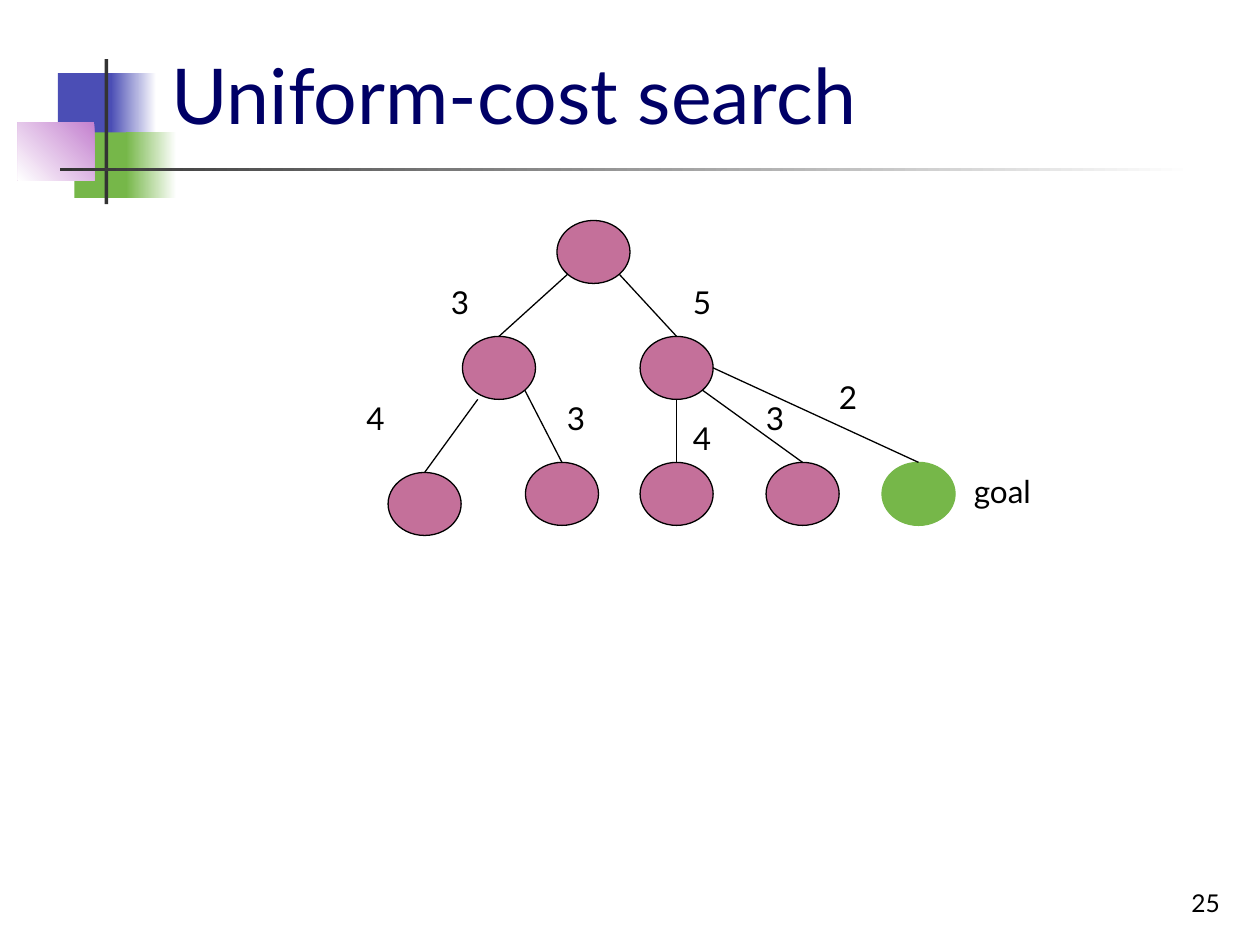
from dataclasses import dataclass
from math import sqrt

from lxml.etree import SubElement
from pptx import Presentation
from pptx.dml.color import RGBColor
from pptx.enum.shapes import MSO_CONNECTOR, MSO_SHAPE
from pptx.enum.text import MSO_ANCHOR, MSO_AUTO_SIZE, PP_ALIGN
from pptx.oxml.ns import qn
from pptx.util import Inches, Pt


@dataclass(frozen=True)
class Theme:
    font: str = "Lato"
    title: str = "000066"
    ink: str = "000000"
    paper: str = "FFFFFF"
    node: str = "C4709A"
    green: str = "76B749"
    blue: str = "4B4EB5"
    pink: str = "C481CF"
    rule: str = "333333"
    title_size: float = 44
    label_size: float = 18
    number_size: float = 14
    line_width: float = 0.75


THEME = Theme()
NODE_W, NODE_H = 0.58, 0.5

# Left and top of each node of the search tree
NODES = {
    "root": (4.42, 1.75),
    "left": (3.67, 2.67),
    "right": (5.08, 2.67),
    "left-a": (3.08, 3.75),
    "left-b": (4.17, 3.67),
    "right-a": (5.08, 3.67),
    "right-b": (6.08, 3.67),
    "goal": (7, 3.67),
}

# Where an edge leaves its parent, in half widths and half heights from the centre
DIAGONAL = 1 / sqrt(2)
LOWER_LEFT, LOWER_RIGHT = (-DIAGONAL, DIAGONAL), (DIAGONAL, DIAGONAL)
BELOW_LEFT, BOTTOM, RIGHT = (-0.58, 1), (0, 1), (1, 0)

# Parent, child, exit from the parent, cost, left and top of the cost
EDGES = [
    ("root", "left", LOWER_LEFT, "3", (3.48, 2.2)),
    ("root", "right", LOWER_RIGHT, "5", (5.4, 2.2)),
    ("left", "left-a", BELOW_LEFT, "4", (2.81, 3.12)),
    ("left", "left-b", LOWER_RIGHT, "3", (4.4, 3.12)),
    ("right", "right-a", BOTTOM, "4", (5.4, 3.28)),
    ("right", "right-b", LOWER_RIGHT, "3", (5.98, 3.12)),
    ("right", "goal", RIGHT, "2", (6.56, 2.95)),
]

# Left, top, width, height, colours from first to last, gradient angle
DECORATION = [
    (0.46, 0.58, 0.48, 0.52, [THEME.blue], 0),
    (0.88, 0.58, 0.36, 0.52, [THEME.paper, THEME.blue], 180),
    (0.59, 1.05, 0.46, 0.52, [THEME.green], 0),
    (1, 1.05, 0.4, 0.52, [THEME.paper, THEME.green], 180),
    (0.14, 0.97, 0.61, 0.46, [THEME.pink, THEME.paper], 225),
    (0.83, 0.47, 0.03, 1.15, [THEME.rule], 0),
    (0.48, 1.33, 9, 0.03, [THEME.paper, THEME.rule], 180),
]


def rgb(value):
    return RGBColor.from_string(value)


def add_shape(slide, kind, left, top, width, height):
    shape = slide.shapes.add_shape(
        kind, Inches(left), Inches(top), Inches(width), Inches(height))
    shape.shadow.inherit = False
    return shape


def add_band(slide, left, top, width, height, colours, angle):
    """Add a borderless rectangle with a plain or two-colour fill."""
    band = add_shape(slide, MSO_SHAPE.RECTANGLE, left, top, width, height)
    band.line.fill.background()
    if len(colours) == 1:
        band.fill.solid()
        band.fill.fore_color.rgb = rgb(colours[0])
        return
    band.fill.gradient()
    band.fill.gradient_angle = angle
    for stop, colour in zip(band.fill.gradient_stops, colours):
        stop.color.rgb = rgb(colour)


def add_text(slide, text, left, top, width, height, *, size=THEME.label_size,
             colour=THEME.ink, align=PP_ALIGN.LEFT, anchor=MSO_ANCHOR.TOP, wrap=True):
    box = slide.shapes.add_textbox(
        Inches(left), Inches(top), Inches(width), Inches(height))
    frame = box.text_frame
    frame.word_wrap = wrap
    frame.auto_size = MSO_AUTO_SIZE.NONE if wrap else MSO_AUTO_SIZE.SHAPE_TO_FIT_TEXT
    frame.vertical_anchor = anchor
    paragraph = frame.paragraphs[0]
    paragraph.alignment = align
    run = paragraph.add_run()
    run.text = text
    run.font.name = THEME.font
    run.font.size = Pt(size)
    run.font.color.rgb = rgb(colour)


def add_node(slide, left, top, fill, outline):
    node = add_shape(slide, MSO_SHAPE.OVAL, left, top, NODE_W, NODE_H)
    node.fill.solid()
    node.fill.fore_color.rgb = rgb(fill)
    node.line.color.rgb = rgb(outline)
    node.line.width = Pt(THEME.line_width)
    return node


def add_edge(slide, parent, child, leave):
    """Draw a line from a point on the parent to the top of the child."""
    across, down = leave
    start_x = parent.left + round(parent.width * (1 + across) / 2)
    start_y = parent.top + round(parent.height * (1 + down) / 2)
    edge = slide.shapes.add_connector(
        MSO_CONNECTOR.STRAIGHT, start_x, start_y,
        child.left + child.width // 2, child.top)
    edge.end_connect(child, 0)
    edge.line.color.rgb = rgb(THEME.ink)
    edge.line.width = Pt(THEME.line_width)
    SubElement(edge.line._get_or_add_ln().getparent(), qn("a:effectLst"))


def add_tree(slide):
    nodes = {}
    for name, (left, top) in NODES.items():
        is_goal = name == "goal"
        nodes[name] = add_node(slide, left, top,
                               THEME.green if is_goal else THEME.node,
                               THEME.green if is_goal else THEME.ink)
    for parent, child, leave, cost, (left, top) in EDGES:
        add_edge(slide, nodes[parent], nodes[child], leave)
        add_text(slide, cost, left, top, 0.34, 0.4, wrap=False)
    add_text(slide, "goal", 7.63, 3.7, 0.71, 0.4, wrap=False)


def main():
    deck = Presentation()
    deck.slide_width, deck.slide_height = Inches(10), Inches(7.5)
    slide = deck.slides.add_slide(deck.slide_layouts[6])
    for band in DECORATION:
        add_band(slide, *band)
    add_text(slide, "Uniform-cost search", 1.26, 0.23, 8.52, 0.93,
             size=THEME.title_size, colour=THEME.title, anchor=MSO_ANCHOR.BOTTOM)
    add_tree(slide)
    add_text(slide, "25", 7.7, 6.83, 2.08, 0.5, size=THEME.number_size,
             align=PP_ALIGN.RIGHT, anchor=MSO_ANCHOR.BOTTOM)
    deck.save("out.pptx")


if __name__ == "__main__":
    main()
